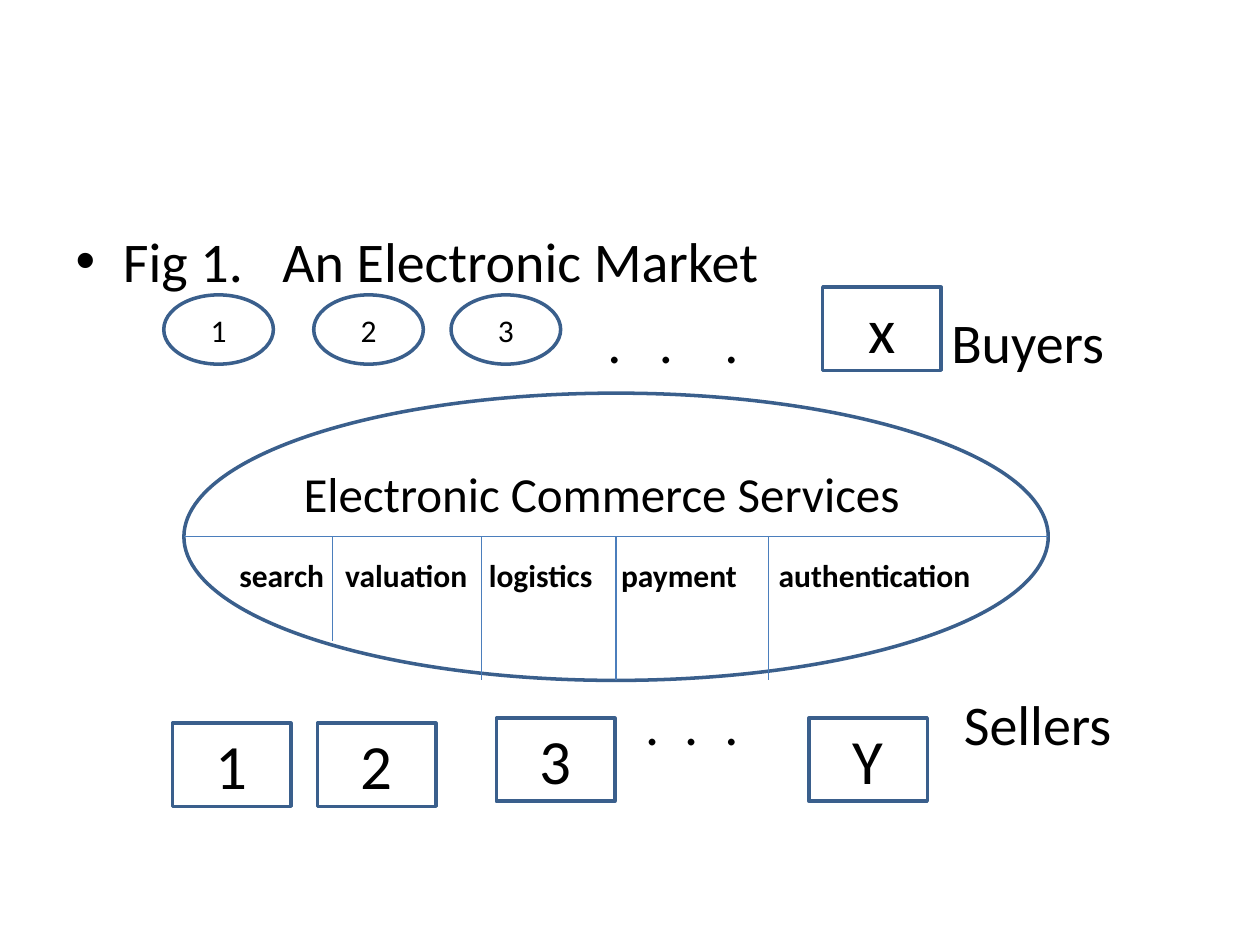
"""Build the electronic market diagram slide."""
from typing import NamedTuple

from lxml import etree
from pptx import Presentation
from pptx.dml.color import RGBColor
from pptx.enum.shapes import MSO_CONNECTOR, MSO_SHAPE
from pptx.enum.text import MSO_ANCHOR, PP_ALIGN
from pptx.oxml.ns import qn
from pptx.util import Inches, Pt

OVAL, RECT = MSO_SHAPE.OVAL, MSO_SHAPE.RECTANGLE
STRAIGHT = MSO_CONNECTOR.STRAIGHT
MIDDLE, TOP = MSO_ANCHOR.MIDDLE, MSO_ANCHOR.TOP
LEFT, CENTER = PP_ALIGN.LEFT, PP_ALIGN.CENTER
BLACK, WHITE, OUTLINE, DIVIDER = "000000", "FFFFFF", "3A5F8C", "4B7EBC"


class Node(NamedTuple):
    text: str
    x: float
    y: float


class Label(NamedTuple):
    text: str
    x: float
    y: float
    w: float
    size: int
    bold: bool = False
    tabs: tuple = ()


BUYERS = [Node("1", 1.3, 2.34), Node("2", 2.49, 2.34), Node("3", 3.58, 2.34)]
BOXES = [Node("x", 6.53, 2.28), Node("Y", 6.42, 5.7), Node("3", 3.94, 5.7),
         Node("2", 2.52, 5.74), Node("1", 1.37, 5.74)]
SERVICES = [("search", 1.9), ("valuation", 2.74), ("logistics", 3.88),
            ("payment", 4.93), ("authentication", 6.18)]
LABELS = [
    Label(".\t.\t.", 4.82, 2.44, 1.2, 32, tabs=(0.41, 0.93)),
    Label("Buyers", 7.55, 2.44, 1.5, 32),
    Label("Electronic Commerce Services", 2.41, 3.68, 5.2, 28),
    *[Label(name, x, 4.41, 1.8, 18, True) for name, x in SERVICES],
    Label(".\t.\t.", 5.12, 5.47, 1, 32, tabs=(0.31, 0.63)),
    Label("Sellers", 7.65, 5.47, 1.5, 32),
]
MID_Y = 4.26
DIVIDERS = [(2.64, 5.09), (3.82, 5.4), (4.89, 5.4), (6.1, 5.4)]


def rgb(value: str) -> RGBColor:
    """Turn a hex string into a colour."""
    return RGBColor.from_string(value)


def write(tf, text: str, *, size: int, bold: bool = False, align=LEFT,
          anchor=TOP, tabs: tuple = ()) -> None:
    """Fill a text frame with one formatted paragraph."""
    tf.word_wrap = True
    tf.vertical_anchor = anchor
    p = tf.paragraphs[0]
    p.alignment = align
    r = p.add_run()
    r.text = text
    r.font.name, r.font.size, r.font.bold = "Calibri", Pt(size), bold
    r.font.color.rgb = rgb(BLACK)
    if tabs:
        stops = etree.SubElement(p._p.get_or_add_pPr(), qn("a:tabLst"))
        for pos in tabs:
            etree.SubElement(stops, qn("a:tab"), pos=str(Inches(pos)), algn="l")


def add_outline(s, kind, x: float, y: float, w: float, h: float):
    """Add a white shape with a blue outline."""
    sp = s.shapes.add_shape(kind, Inches(x), Inches(y), Inches(w), Inches(h))
    sp.shadow.inherit = False
    sp.fill.solid()
    sp.fill.fore_color.rgb = rgb(WHITE)
    sp.line.color.rgb = rgb(OUTLINE)
    sp.line.width = Pt(2)
    return sp


def add_node(s, node: Node, kind, w: float, h: float, size: int) -> None:
    """Add a shape that carries a centred name."""
    sp = add_outline(s, kind, node.x, node.y, w, h)
    write(sp.text_frame, node.text, size=size, align=CENTER, anchor=MIDDLE)


def add_label(s, label: Label) -> None:
    """Add a text box without margins."""
    sp = s.shapes.add_textbox(Inches(label.x), Inches(label.y),
                              Inches(label.w), Inches(label.size * 1.22 / 72))
    tf = sp.text_frame
    tf.margin_left = tf.margin_right = tf.margin_top = tf.margin_bottom = 0
    write(tf, label.text, size=label.size, bold=label.bold, tabs=label.tabs)


def add_line(s, x1: float, y1: float, x2: float, y2: float) -> None:
    """Add a thin divider."""
    line = s.shapes.add_connector(STRAIGHT, Inches(x1), Inches(y1),
                                  Inches(x2), Inches(y2))
    line.line.color.rgb = rgb(DIVIDER)
    line.line.width = Pt(0.75)
    etree.SubElement(line._element.spPr, qn("a:effectLst"))


def main() -> None:
    """Build and save the slide."""
    prs = Presentation()
    prs.slide_width, prs.slide_height = Inches(10), Inches(7.5)
    s = prs.slides.add_slide(prs.slide_layouts[1])
    title = s.shapes.title._element
    title.getparent().remove(title)

    body = s.placeholders[1]
    body.left, body.top = Inches(0.5), Inches(1.75)
    body.width, body.height = Inches(9), Inches(4.95)
    write(body.text_frame, "Fig 1.\tAn Electronic Market", size=32, tabs=(1.64,))

    add_outline(s, OVAL, 1.46, 3.12, 6.86, 2.28)
    for node in BUYERS:
        add_node(s, node, OVAL, 0.87, 0.55, 18)
    for node in BOXES:
        add_node(s, node, RECT, 0.94, 0.66, 36)
    add_line(s, 1.46, MID_Y, 8.32, MID_Y)
    for x, bottom in DIVIDERS:
        add_line(s, x, MID_Y, x, bottom)
    for label in LABELS:
        add_label(s, label)
    prs.save("out.pptx")


if __name__ == "__main__":
    main()
